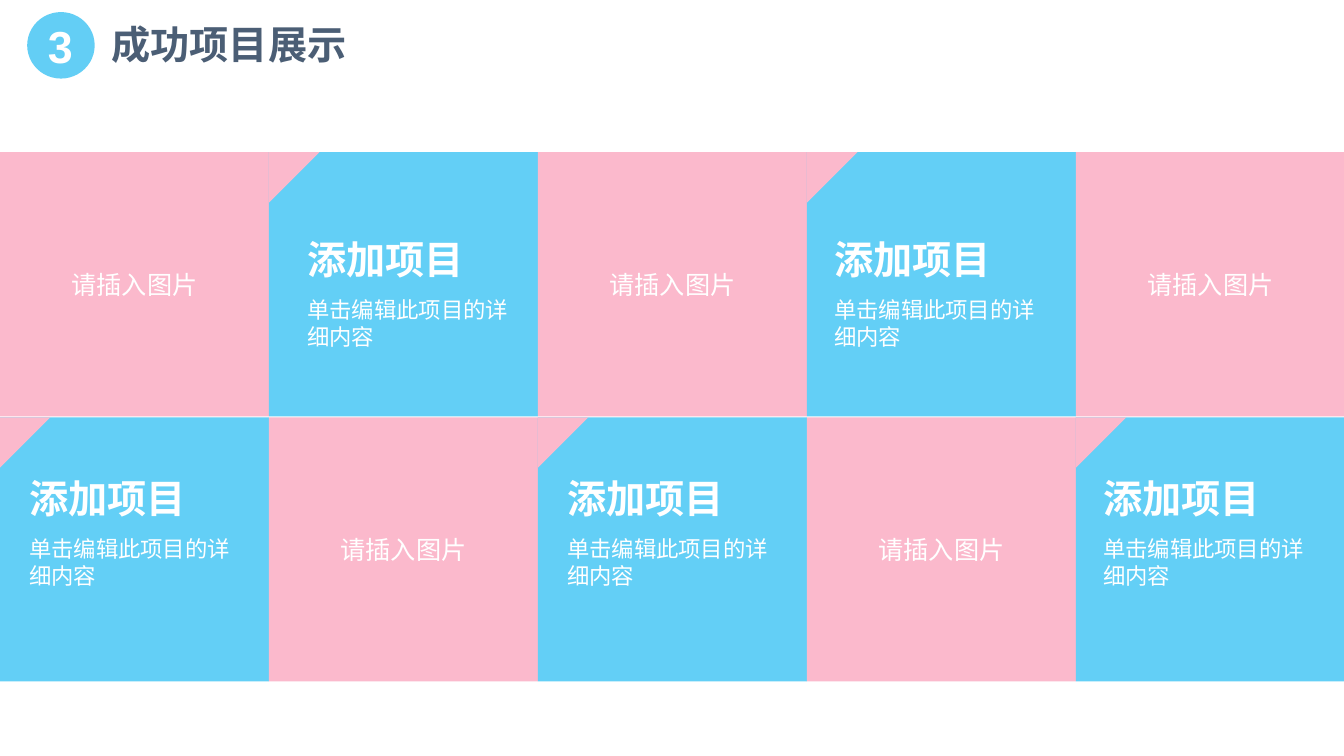
import pptx
import pptx.util
import pptx.dml.color
import pptx.enum.shapes
import pptx.enum.text
import lxml.etree
from pptx.util import Inches

SHAPES = pptx.enum.shapes.MSO_SHAPE
ANCHORS = pptx.enum.text.MSO_ANCHOR
ALIGNS = pptx.enum.text.PP_ALIGN
BLUE, PINK, WHITE = "63CFF6", "FBB9CC", "FFFFFF"
CELL_WIDTH, CELL_HEIGHT = 2.67, 2.62
ROW_TOPS = (1.51, 4.14)
TITLE_TOPS = (2.33, 4.7)
TITLE_LEFTS = (0.16, 2.92, 5.5, 8.15, 10.82)


def color(code):
    return pptx.dml.color.RGBColor.from_string(code)


def write(box, text, size, code=WHITE, bold=False, align=ALIGNS.LEFT,
          anchor=ANCHORS.TOP, inset=(0.1, 0.05)):
    frame = box.text_frame
    side, edge = (Inches(length) for length in inset)
    layout = {"word_wrap": True, "vertical_anchor": anchor,
              "margin_left": side, "margin_right": side,
              "margin_top": edge, "margin_bottom": edge}
    for name, value in layout.items():
        setattr(frame, name, value)
    para = frame.paragraphs[0]
    para.alignment = align
    span = para.add_run()
    span.text = text
    style = {"name": "Arial", "size": pptx.util.Pt(size), "bold": bold}
    for name, value in style.items():
        setattr(span.font, name, value)
    span.font.color.rgb = color(code)


def add_block(page, kind, left, top, width, height, fill):
    block = page.shapes.add_shape(kind, *map(Inches, (left, top, width, height)))
    block.shadow.inherit = False
    block.fill.solid()
    block.fill.fore_color.rgb = color(fill)
    block.line.fill.background()
    return block


def add_label(page, left, top, width, height, text, size, **options):
    box = page.shapes.add_textbox(*map(Inches, (left, top, width, height)))
    write(box, text, size, **options)


def add_project(page, column, row):
    left, top = column * CELL_WIDTH, ROW_TOPS[row]
    add_block(page, SHAPES.RECTANGLE, left, top, CELL_WIDTH, CELL_HEIGHT, BLUE)
    corner = add_block(page, SHAPES.RIGHT_TRIANGLE, left, top, 0.5, 0.5, PINK)
    corner.rotation = 90
    text_left, text_top = TITLE_LEFTS[column], TITLE_TOPS[row]
    inset = (0.13, 0.07)
    add_label(page, text_left, text_top, 2.36, 0.48, "添加项目", 28,
              bold=True, anchor=ANCHORS.MIDDLE, inset=inset)
    add_label(page, text_left, text_top + 0.54, 2.36, 1.14,
              "单击编辑此项目的详细内容", 16, inset=inset)


def add_photo_space(page, column, row):
    space = add_block(page, SHAPES.RECTANGLE, column * CELL_WIDTH, ROW_TOPS[row],
                      CELL_WIDTH, CELL_HEIGHT, PINK)
    write(space, "请插入图片", 18, align=ALIGNS.CENTER, anchor=ANCHORS.MIDDLE)


def add_heading(page):
    badge = add_block(page, SHAPES.OVAL, 0.27, 0.12, 0.67, 0.66, "00B0F0")
    fill = badge.fill._xPr.find(pptx.oxml.ns.qn("a:solidFill"))
    lxml.etree.SubElement(fill[0], pptx.oxml.ns.qn("a:alpha"), val="61000")
    add_label(page, 0.34, 0.14, 0.52, 0.64, "3", 32, bold=True, align=ALIGNS.CENTER)
    add_label(page, 1.01, 0.15, 3.64, 0.57, "成功项目展示", 28, code="4B5E75", bold=True)


def main():
    deck = pptx.Presentation()
    deck.slide_width, deck.slide_height = Inches(13.34), Inches(7.5)
    page = deck.slides.add_slide(deck.slide_layouts[6])
    for row in range(len(ROW_TOPS)):
        for column in range(len(TITLE_LEFTS)):
            add_cell = add_photo_space if (row + column) % 2 == 0 else add_project
            add_cell(page, column, row)
    add_heading(page)
    deck.save("out.pptx")


if __name__ == "__main__":
    main()
